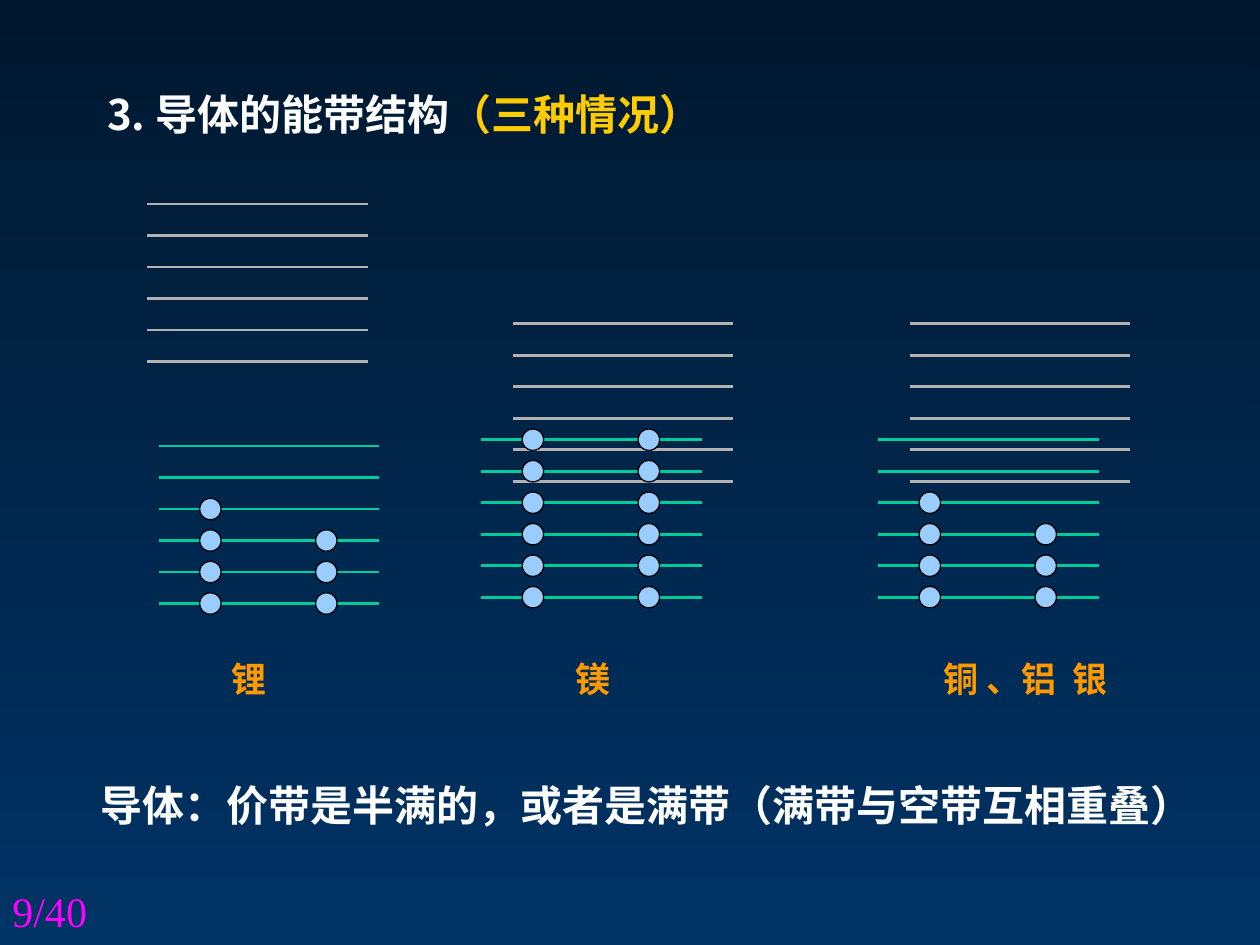
from lxml import etree
from pptx import Presentation
from pptx.dml.color import RGBColor
from pptx.enum.shapes import MSO_CONNECTOR as CONN, MSO_SHAPE as SHAPE
from pptx.enum.text import MSO_ANCHOR as ANCHOR, MSO_AUTO_SIZE as FIT, PP_ALIGN as ALIGN
from pptx.oxml.ns import qn
from pptx.util import Inches, Pt

COLORS = {
    "top": "00182F", "bottom": "003366", "white": "FFFFFF", "yellow": "FFCC00",
    "orange": "FF9900", "magenta": "FF00FF", "filled": "00CC99",
    "empty": "B2B2B2", "electron": "99CCFF", "outline": "000000",
}
SANS, SERIF = "Noto Sans CJK SC", "Times New Roman"
LEVELS, GAP, LEVEL_WIDTH = 6, 0.25, 1.75
DOT, DOT_OFFSETS = 0.17, (0.41, 1.33)

HEADING = {"size": Pt(24), "bold": True, "name": SANS}
LABEL = {"size": Pt(20), "bold": True, "name": SANS}
PAGE = {"size": Pt(24), "bold": False, "name": SERIF}


def rgb(name):
    return RGBColor.from_string(COLORS[name])


class BandSlide:
    def __init__(self, prs):
        self.s = prs.slides.add_slide(prs.slide_layouts[5])

    def background(self):
        fill = self.s.background.fill
        fill.gradient()
        fill.gradient_angle = 270
        for stop, name in zip(fill.gradient_stops, ("top", "bottom")):
            stop.color.rgb = rgb(name)

    def fill_text(self, sp, box, runs, style, align=ALIGN.LEFT, wrap=True, anchor=ANCHOR.TOP):
        sp.left, sp.top, sp.width, sp.height = (Inches(v) for v in box)
        tf = sp.text_frame
        frame = {"auto_size": FIT.NONE, "word_wrap": wrap, "vertical_anchor": anchor}
        for key, value in frame.items():
            setattr(tf, key, value)
        p = tf.paragraphs[0]
        p.alignment = align
        for text, color in runs:
            r = p.add_run()
            r.text = text
            for key, value in style.items():
                setattr(r.font, key, value)
            r.font.color.rgb = rgb(color)
            etree.SubElement(r.font._element, qn("a:ea"), typeface=style["name"])

    def title(self, box, runs):
        self.fill_text(self.s.shapes.title, box, runs, HEADING, anchor=ANCHOR.MIDDLE)

    def text(self, box, text, color, style, **layout):
        sp = self.s.shapes.add_textbox(0, 0, 0, 0)
        self.fill_text(sp, box, [(text, color)], style, **layout)

    def level(self, group, x, y, color):
        line = group.shapes.add_connector(
            CONN.STRAIGHT, Inches(x), Inches(y), Inches(x + LEVEL_WIDTH), Inches(y))
        line.line.color.rgb = rgb(color)
        line.line.width = Pt(1.5)
        etree.SubElement(line._element.spPr, qn("a:effectLst"))

    def electron(self, group, x, y):
        dot = group.shapes.add_shape(
            SHAPE.OVAL, Inches(x - DOT / 2), Inches(y - DOT / 2), Inches(DOT), Inches(DOT))
        dot.shadow.inherit = False
        dot.fill.solid()
        dot.fill.fore_color.rgb = rgb("electron")
        dot.line.color.rgb = rgb("outline")
        dot.line.width = Pt(0.75)

    def bands(self, empty, valence, electrons):
        """Draw an empty band and a valence band; electrons are counted per level."""
        group = self.s.shapes.add_group_shape()
        for i in range(LEVELS):
            self.level(group, empty[0], empty[1] + i * GAP, "empty")
        x, top = valence
        for i, count in enumerate(electrons):
            y = top + i * GAP
            self.level(group, x, y, "filled")
            for offset in DOT_OFFSETS[:count]:
                self.electron(group, x + offset, y)


def main():
    prs = Presentation()
    prs.slide_width, prs.slide_height = Inches(10), Inches(7.5)
    slide = BandSlide(prs)
    slide.background()

    # Heading
    slide.title((0.75, 0.65, 5.35, 0.5),
                [("3. 导体的能带结构", "white"), ("（三种情况）", "yellow")])

    # Three band diagrams: empty band, valence band, electrons, label
    half_full, full = (0, 0, 1, 2, 2, 2), (2,) * LEVELS
    cases = [
        ((1.17, 1.62), (1.26, 3.54), half_full, "锂", (1.74, 0.48)),
        ((4.07, 2.57), (3.82, 3.49), full, "镁", (4.47, 0.48)),
        ((7.22, 2.57), (6.97, 3.49), half_full, "铜 、铝  银", (7.27, 1.74)),
    ]
    for empty, valence, electrons, label, (left, width) in cases:
        slide.bands(empty, valence, electrons)
        slide.text((left, 5.17, width, 0.43), label, "orange", LABEL,
                   align=ALIGN.CENTER, wrap=False)

    # Conclusion and page number
    slide.text((0.7, 6.14, 9.06, 0.51),
               "导体：价带是半满的，或者是满带（满带与空带互相重叠）", "white", HEADING)
    slide.text((0, 6.98, 2.33, 0.52), "9/40", "magenta", PAGE)

    prs.save("out.pptx")


if __name__ == "__main__":
    main()
